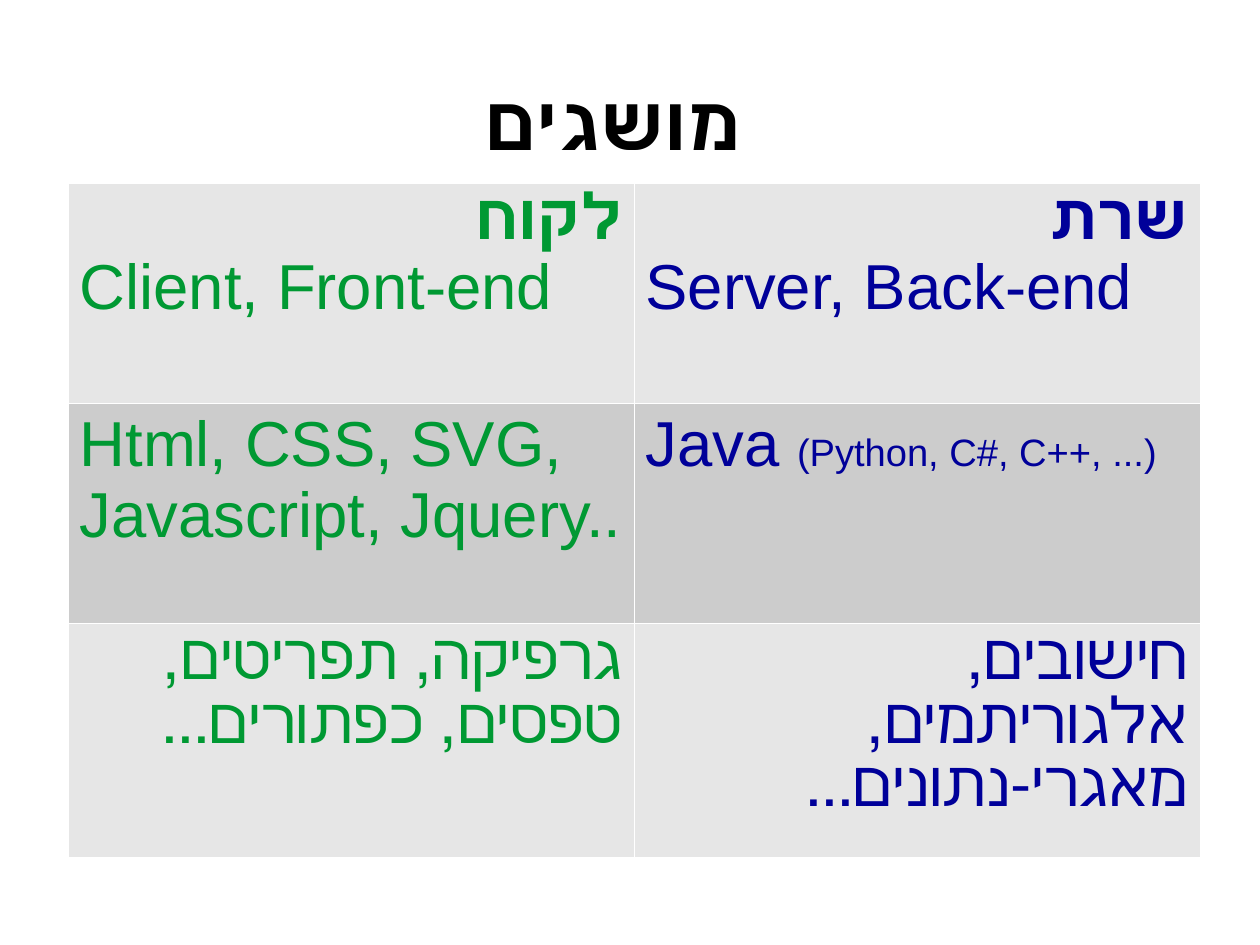
"""Build a slide that compares client and server concepts in a table."""
from lxml import etree
from pptx import Presentation, util as u
from pptx.dml.color import RGBColor
from pptx.enum import text
from pptx.oxml import ns

COLORS = {"title": "000000", "client": "009933", "server": "000099",
          "light": "E6E6E6", "dark": "CCCCCC", "border": "FFFFFF"}
TITLE = "מושגים"
COLUMNS = ("client", "server")
BANDS = ("light", "dark", "light")
HEBREW = {"rtl": True}
HEADING = {"rtl": True, "bold": True}
SMALL = {"size": 24}
ROWS = [
    ([[("לקוח", HEADING)], [("Client, Front-end", {})]],
     [[("שרת", HEADING)], [("Server, Back-end", {})]]),
    ([[("Html, CSS, SVG, Javascript, Jquery..", {})]],
     [[("Java ", {}), ("(Python, C#, C++, ...)", SMALL)]]),
    ([[("גרפיקה, תפריטים, טפסים, כפתורים...", HEBREW)]],
     [[("חישובים, אלגוריתמים, מאגרי-נתונים...", HEBREW)]]),
]
FONT = "Arial"
SLIDE_SIZE = (793.75, 595.25)
TITLE_BOX = (30.24, 21.6, 711.36, 108)
TABLE_BOX = (43, 115.2, 712.8, 424.5)
ROW_HEIGHTS = (138.8, 138.8, 146.9)
BORDER_WIDTH = 0.06


def add_text(paragraph, content, color, size=40, bold=False, rtl=False, align=None):
    """Append a formatted run, right to left when asked."""
    if rtl:
        paragraph.alignment = align or text.PP_ALIGN.RIGHT
        paragraph._p.get_or_add_pPr().set("rtl", "1")
    run = paragraph.add_run()
    run.text = content
    run.font.size = u.Pt(size)
    run.font.bold = bold
    run.font.color.rgb = RGBColor.from_string(COLORS[color])
    run.font.name = FONT


def set_borders(cell):
    """Give all four sides of a cell the thin border."""
    properties = cell._tc.get_or_add_tcPr()
    for position, side in enumerate(("lnL", "lnR", "lnT", "lnB")):
        line = etree.Element(ns.qn("a:" + side), w=str(u.Pt(BORDER_WIDTH)))
        fill = etree.SubElement(line, ns.qn("a:solidFill"))
        etree.SubElement(fill, ns.qn("a:srgbClr"), val=COLORS["border"])
        properties.insert(position, line)


def fill_cell(cell, paragraphs, color, band):
    """Write a cell's paragraphs and set its background and borders."""
    cell.margin_left = cell.margin_right = u.Pt(7.2)
    cell.margin_top = cell.margin_bottom = u.Pt(3.6)
    cell.fill.solid()
    cell.fill.fore_color.rgb = RGBColor.from_string(COLORS[band])
    set_borders(cell)
    for index, runs in enumerate(paragraphs):
        frame = cell.text_frame
        paragraph = frame.add_paragraph() if index else frame.paragraphs[0]
        for content, style in runs:
            add_text(paragraph, content, color, **style)


def add_title(slide):
    """Place and format the title placeholder."""
    title = slide.shapes.title
    title.left, title.top, title.width, title.height = map(u.Pt, TITLE_BOX)
    frame = title.text_frame
    frame.margin_left = frame.margin_right = frame.margin_top = frame.margin_bottom = 0
    frame.vertical_anchor = text.MSO_ANCHOR.MIDDLE
    frame.auto_size = text.MSO_AUTO_SIZE.NONE
    add_text(frame.paragraphs[0], TITLE, "title", size=48, bold=True, rtl=True,
             align=text.PP_ALIGN.CENTER)


def add_concepts(slide):
    """Add the table of concepts."""
    frame = slide.shapes.add_table(len(ROWS), len(COLUMNS), *map(u.Pt, TABLE_BOX))
    table = frame.table
    table.first_row = table.horz_banding = False
    for column in table.columns:
        column.width = u.Pt(TABLE_BOX[2] / len(COLUMNS))
    for row, height in zip(table.rows, ROW_HEIGHTS):
        row.height = u.Pt(height)
    for row, cells, band in zip(table.rows, ROWS, BANDS):
        for cell, paragraphs, color in zip(row.cells, cells, COLUMNS):
            fill_cell(cell, paragraphs, color, band)


def main():
    """Build and save the presentation."""
    presentation = Presentation()
    presentation.slide_width, presentation.slide_height = map(u.Pt, SLIDE_SIZE)
    slide = presentation.slides.add_slide(presentation.slide_layouts[5])
    add_title(slide)
    add_concepts(slide)
    presentation.save("out.pptx")


if __name__ == "__main__":
    main()
